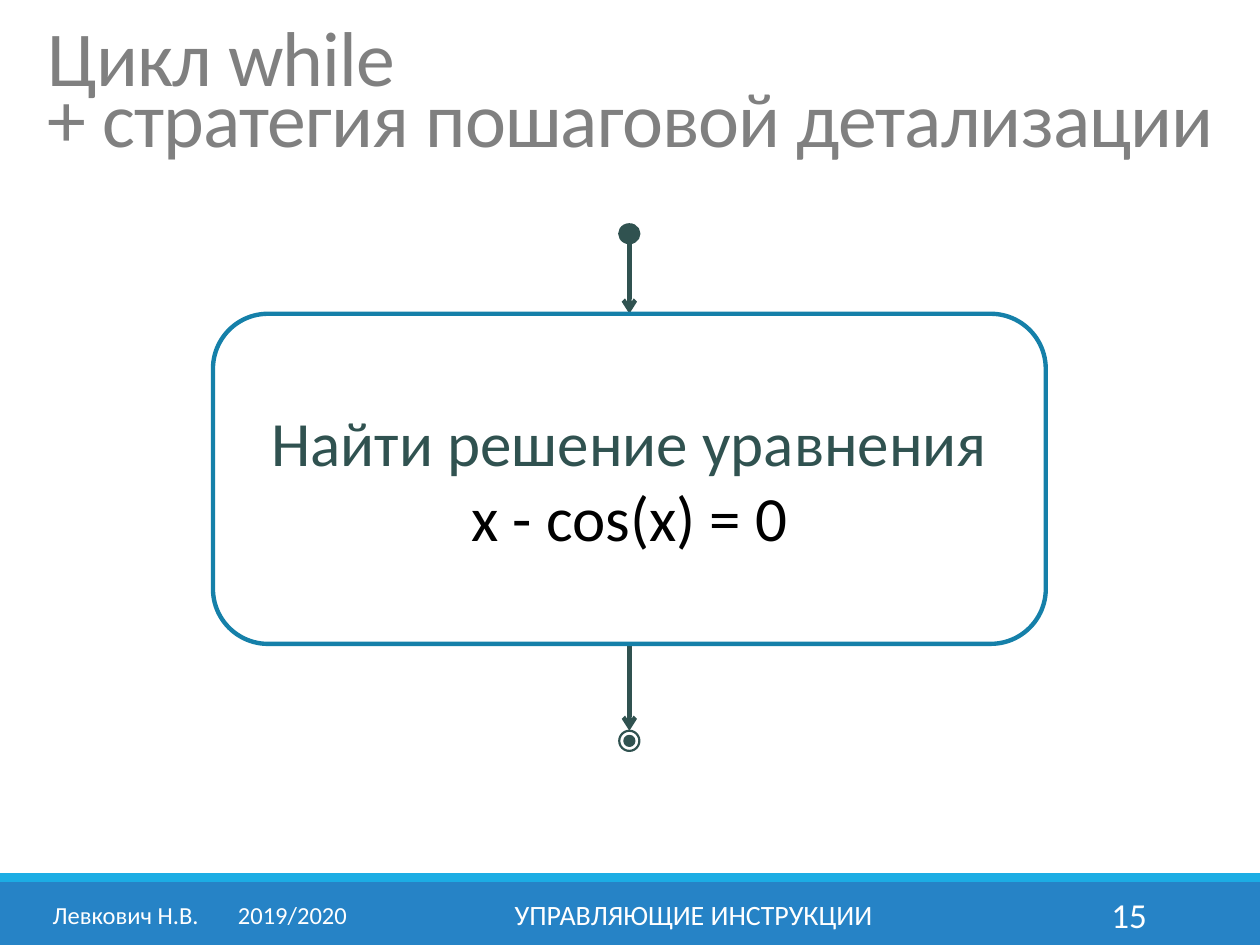
import pptx
import pptx.util
import pptx.dml.color
import pptx.enum.shapes
import pptx.enum.text
import pptx.oxml

Inches = pptx.util.Inches
Pt = pptx.util.Pt
Kind = pptx.enum.shapes.MSO_SHAPE
Align = pptx.enum.text.PP_ALIGN
FONT = "Calibri"
COLORS = {"title": "808080", "dark": "305250", "edge": "1580A9", "bar": "2683C6",
          "strip": "1CADE4", "white": "FFFFFF", "black": "000000"}


def color(name):
    """Return the named colour."""
    return pptx.dml.color.RGBColor.from_string(COLORS[name])


def tag(parent, name, **attrs):
    """Append a DrawingML element to its parent."""
    node = parent.makeelement(pptx.oxml.ns.qn(name), attrs)
    parent.append(node)
    return node


def style(par, size, *inks):
    """Format the runs of a paragraph, one ink for each."""
    for run, ink in zip(par.runs, inks):
        run.font.name = FONT
        run.font.size = Pt(size)
        run.font.color.rgb = color(ink)


def shape(shapes, kind, box, fill=None, edge=None, width=1.25):
    """Add a preset shape with the given fill and edge."""
    item = shapes.add_shape(kind, *map(Inches, box))
    item.shadow.inherit = False
    if fill:
        item.fill.solid()
        item.fill.fore_color.rgb = color(fill)
    else:
        item.fill.background()
    if edge:
        item.line.color.rgb = color(edge)
        item.line.width = Pt(width)
    else:
        item.line.fill.background()
    return item


def arrow(shapes, x, top, end):
    """Add a downward arrow."""
    line = shapes.add_connector(pptx.enum.shapes.MSO_CONNECTOR.STRAIGHT,
                                Inches(x), Inches(top), Inches(x), Inches(end))
    line.line.color.rgb = color("dark")
    line.line.width = Pt(2.5)
    tag(line.line._get_or_add_ln(), "a:tailEnd", type="arrow")
    tag(line._element.spPr, "a:effectLst")


def label(shapes, box, text, size, align, tab=None):
    """Add one line of white footer text."""
    frame = shapes.add_textbox(*map(Inches, box)).text_frame
    frame.word_wrap = True
    frame.vertical_anchor = pptx.enum.text.MSO_ANCHOR.MIDDLE
    frame.text = text
    par = frame.paragraphs[0]
    par.alignment = align
    if tab:
        tabs = tag(par._p.get_or_add_pPr(), "a:tabLst")
        tag(tabs, "a:tab", pos=str(Inches(tab)), algn="l")
    style(par, size, "white")


def heading(slide, box):
    """Place and format the slide title."""
    title = slide.shapes.title
    title.left, title.top, title.width, title.height = map(Inches, box)
    frame = title.text_frame
    frame.text = "Цикл while\v+ стратегия пошаговой детализации"
    frame.word_wrap = True
    frame.auto_size = pptx.enum.text.MSO_AUTO_SIZE.NONE
    frame.vertical_anchor = pptx.enum.text.MSO_ANCHOR.MIDDLE
    par = frame.paragraphs[0]
    par.alignment = Align.LEFT
    par.line_spacing = 0.65
    style(par, 44.4, "title", "title")
    for run in par.runs:
        run.font._element.set("spc", "-50")


def diagram(slide, box):
    """Draw the activity flow from start dot to end ring."""
    left, top, width, height = box
    shapes = slide.shapes
    mid, dot, core = left + width / 2, 0.16, 0.08
    step, base = top + 0.71, top + 3.33
    end = top + height - dot
    arrow(shapes, mid, top + 0.15, step)
    arrow(shapes, mid, base, end)
    task = shape(shapes, Kind.FLOWCHART_ALTERNATE_PROCESS,
                 (left, step, width, base - step), "white", "edge", 2.5)
    frame = task.text_frame
    frame.word_wrap = True
    frame.vertical_anchor = pptx.enum.text.MSO_ANCHOR.MIDDLE
    frame.text = "Найти решение уравнения\vx - cos(x) = 0"
    par = frame.paragraphs[0]
    par.alignment = Align.CENTER
    style(par, 36, "dark", "black")
    shape(shapes, Kind.FLOWCHART_CONNECTOR,
          (mid - dot / 2, top, dot, 0.15), "dark", "dark")
    ring = shapes.add_group_shape().shapes
    for size, fill in ((core, "dark"), (dot, None)):
        shape(ring, Kind.FLOWCHART_CONNECTOR,
              (mid - size / 2, end + (dot - size) / 2, size, size), fill, "dark")


def footer(slide, box):
    """Draw the bottom band with its three labels."""
    left, top, width, height = box
    shapes = slide.shapes
    strip = 0.07
    shape(shapes, Kind.RECTANGLE, (left, top + strip, width, height - strip), "bar")
    shape(shapes, Kind.RECTANGLE, (left, top, width, strip), "strip")
    for x, wide, text, size, align, tab in (
            (0.32, 2.61, "Левкович Н.В.\t2019/2020", 14, Align.LEFT, 1.47),
            (3.02, 4.97, "УПРАВЛЯЮЩИЕ ИНСТРУКЦИИ", 16, Align.CENTER, None),
            (8.12, 1.08, "15", 20, Align.RIGHT, None)):
        label(shapes, (left + x, top + 0.13, wide, 0.4), text, size, align, tab)


def main():
    """Build and save the slide."""
    deck = pptx.Presentation()
    deck.slide_width, deck.slide_height = Inches(10), Inches(7.5)
    slide = deck.slides.add_slide(deck.slide_layouts[5])
    footer(slide, (0, 6.93, 10, 0.57))
    heading(slide, (0.28, 0.21, 9.53, 1.15))
    diagram(slide, (1.69, 1.78, 6.61, 4.18))
    deck.save("out.pptx")


if __name__ == "__main__":
    main()
